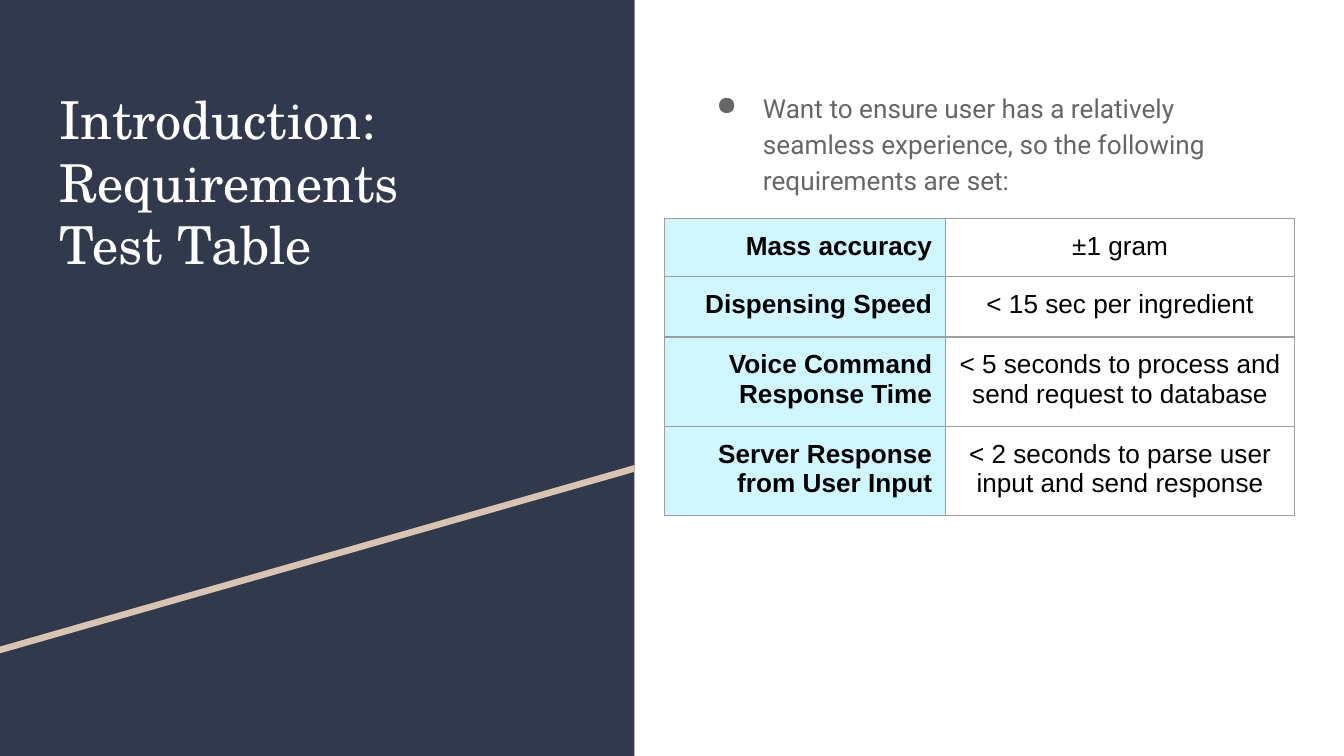
import dataclasses

import lxml.etree
import pptx
import pptx.dml.color
import pptx.enum.shapes
import pptx.enum.text
import pptx.oxml.ns
import pptx.util

Cm = pptx.util.Cm
Pt = pptx.util.Pt
Align = pptx.enum.text.PP_ALIGN


@dataclasses.dataclass(frozen=True)
class Theme:
    """Colours, fonts and sizes of the slide."""

    navy: str = "31394D"
    sand: str = "D9C4B1"
    white: str = "FFFFFF"
    grey: str = "666666"
    black: str = "000000"
    pale_blue: str = "D0F6FF"
    border: str = "9E9E9E"
    title_font: str = "TeX Gyre Schola"
    body_font: str = "Roboto"
    table_font: str = "Arial"
    title_size: float = 28
    body_size: float = 14
    border_width: float = 0.75
    inset: float = 0.25


class SlideBuilder:
    """Draws styled elements on the current slide."""

    def __init__(self, slide, theme):
        """Keep the slide and the theme."""
        self.slide = slide
        self.theme = theme

    def color(self, value):
        """Turn a hex string into a colour."""
        return pptx.dml.color.RGBColor.from_string(value)

    def add_element(self, parent, tag, **attributes):
        """Append a DrawingML child element."""
        return lxml.etree.SubElement(parent, pptx.oxml.ns.qn(tag), attributes)

    def paint(self, shape, color):
        """Give a shape a plain fill without line or shadow."""
        shape.shadow.inherit = False
        shape.fill.solid()
        shape.fill.fore_color.rgb = self.color(color)
        shape.line.fill.background()

    def rectangle(self, left, top, width, height, color):
        """Add a filled rectangle."""
        kind = pptx.enum.shapes.MSO_SHAPE.RECTANGLE
        shape = self.slide.shapes.add_shape(kind, Cm(left), Cm(top), Cm(width), Cm(height))
        self.paint(shape, color)

    def polygon(self, points, color):
        """Add a filled closed outline."""
        corners = [(Cm(x), Cm(y)) for x, y in points]
        builder = self.slide.shapes.build_freeform(*corners[0])
        builder.add_line_segments(corners[1:], close=True)
        self.paint(builder.convert_to_shape(), color)

    def format_text(self, text_frame, font, size, color, bold=False, alignment=Align.LEFT):
        """Apply one text style to a whole frame."""
        for paragraph in text_frame.paragraphs:
            paragraph.alignment = alignment
            for run in paragraph.runs:
                run.font.name = font
                run.font.size = Pt(size)
                run.font.bold = bold
                run.font.color.rgb = self.color(color)

    def set_margins(self, target):
        """Set equal insets on a text frame or cell."""
        for side in ("left", "top", "right", "bottom"):
            setattr(target, f"margin_{side}", Cm(self.theme.inset))

    def text(self, left, top, width, height, content, font, size, color):
        """Add a wrapping text box and return its frame."""
        shape = self.slide.shapes.add_textbox(Cm(left), Cm(top), Cm(width), Cm(height))
        text_frame = shape.text_frame
        text_frame.word_wrap = True
        self.set_margins(text_frame)
        text_frame.text = content
        self.format_text(text_frame, font, size, color)
        return text_frame

    def bullets(self, text_frame, indent, hanging, spacing, color):
        """Turn the paragraphs of a frame into bullets."""
        for paragraph in text_frame.paragraphs:
            paragraph.line_spacing = spacing
            properties = paragraph._p.get_or_add_pPr()
            properties.set("marL", str(Cm(indent)))
            properties.set("indent", str(-Cm(hanging)))
            bullet_color = self.add_element(properties, "a:buClr")
            self.add_element(bullet_color, "a:srgbClr", val=color)
            self.add_element(properties, "a:buChar", char="●")

    def borders(self, cell):
        """Draw all four borders of a cell."""
        properties = cell._tc.get_or_add_tcPr()
        for side in ("L", "R", "T", "B"):
            line = self.add_element(properties, f"a:ln{side}", w=str(Pt(self.theme.border_width)))
            fill = self.add_element(line, "a:solidFill")
            self.add_element(fill, "a:srgbClr", val=self.theme.border)

    def table(self, left, top, widths, heights, rows):
        """Add a table with a bold, shaded label column."""
        theme = self.theme
        frame = self.slide.shapes.add_table(
            len(rows), len(widths), Cm(left), Cm(top), Cm(sum(widths)), Cm(sum(heights)))
        table = frame.table
        table.first_row = table.horz_banding = False
        for column, width in zip(table.columns, widths):
            column.width = Cm(width)
        for row, height, values in zip(table.rows, heights, rows):
            row.height = Cm(height)
            for index, (cell, value) in enumerate(zip(row.cells, values)):
                is_label = index == 0
                self.set_margins(cell)
                self.borders(cell)
                if is_label:
                    cell.fill.solid()
                    cell.fill.fore_color.rgb = self.color(theme.pale_blue)
                else:
                    cell.fill.background()
                cell.text_frame.text = value
                self.format_text(
                    cell.text_frame, theme.table_font, theme.body_size, theme.black,
                    bold=is_label, alignment=Align.RIGHT if is_label else Align.CENTER)


def main():
    """Build and save the slide."""
    presentation = pptx.Presentation()
    presentation.slide_width = Cm(25.4)
    presentation.slide_height = Cm(14.29)
    theme = Theme()
    slide = presentation.slides.add_slide(presentation.slide_layouts[6])
    builder = SlideBuilder(slide, theme)

    panel_width = 11.99
    builder.rectangle(0, 0, panel_width, 14.29, theme.navy)
    for offset, color in ((0.13, theme.sand), (0, theme.navy)):
        corners = [(0, 0), (panel_width, 0), (panel_width, 8.79), (0, 12.22)]
        builder.polygon([(x, y + offset) for x, y in corners], color)

    builder.text(0.87, 1.4, 10.28, 6.96, "Introduction:\nRequirements\nTest Table",
                 theme.title_font, theme.title_size, theme.white)
    body = builder.text(
        12.9, 1.4, 11.58, 11.38,
        "Want to ensure user has a relatively seamless experience, "
        "so the following requirements are set:",
        theme.body_font, theme.body_size, theme.grey)
    builder.bullets(body, indent=1.27, hanging=0.88, spacing=1.15, color=theme.grey)

    builder.table(12.56, 4.13, (5.31, 6.6), (1.1, 1.14, 1.1, 1.1), [
        ("Mass accuracy", "±1 gram"),
        ("Dispensing Speed", "< 15 sec per ingredient"),
        ("Voice Command Response Time", "< 5 seconds to process and send request to database"),
        ("Server Response from User Input", "< 2 seconds to parse user input and send response"),
    ])
    presentation.save("out.pptx")


if __name__ == "__main__":
    main()
